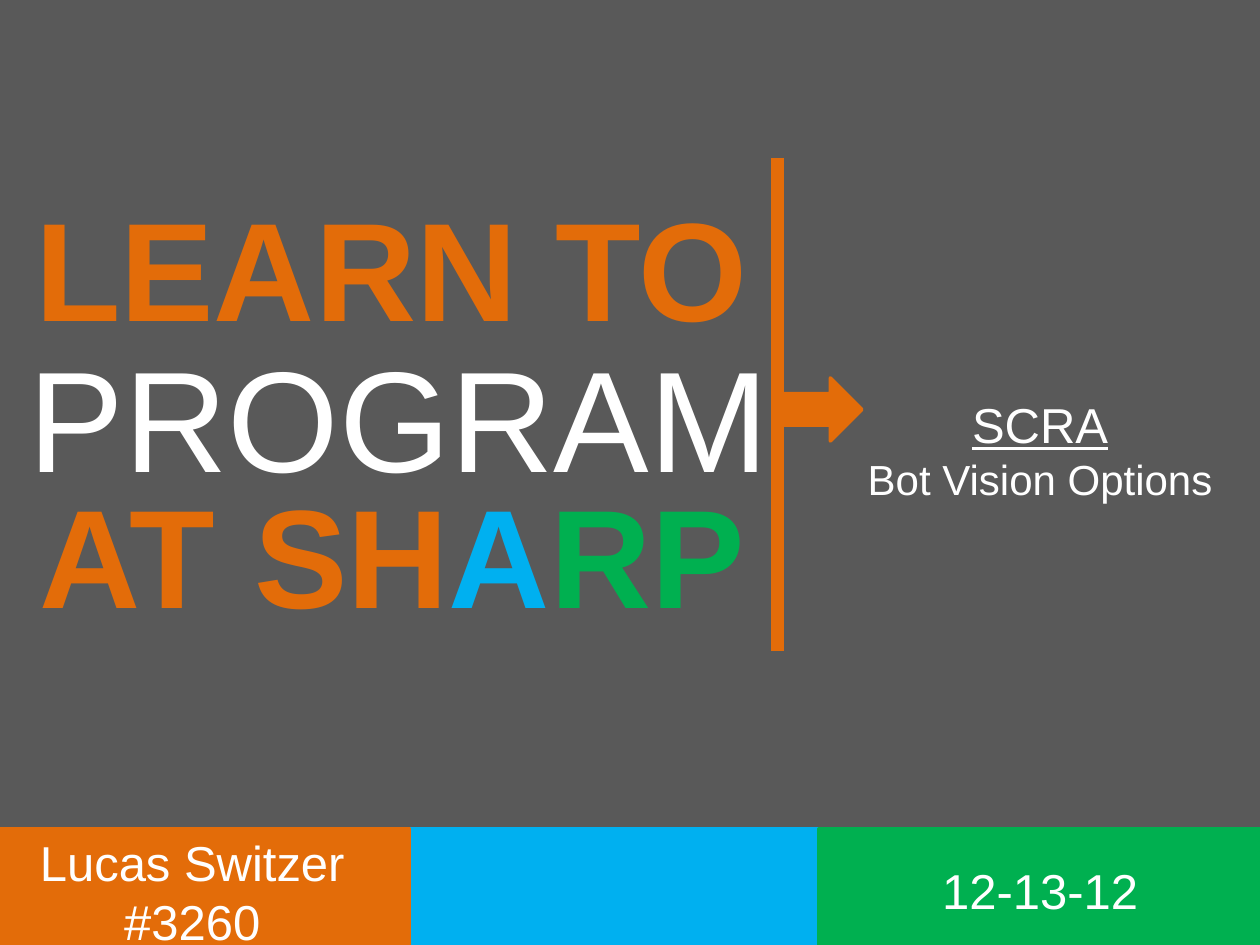
from lxml import etree
from pptx import Presentation
from pptx.dml.color import RGBColor
from pptx.enum.shapes import MSO_CONNECTOR, MSO_SHAPE
from pptx.enum.text import MSO_ANCHOR, MSO_AUTO_SIZE, PP_ALIGN
from pptx.oxml.ns import qn
from pptx.util import Inches, Pt

GRAY = RGBColor(0x59, 0x59, 0x59)
WHITE = RGBColor(0xFF, 0xFF, 0xFF)
ORANGE = RGBColor(0xE3, 0x6C, 0x09)
BLUE = RGBColor(0x00, 0xB0, 0xF0)
GREEN = RGBColor(0x00, 0xB0, 0x50)
RECTANGLE, RIGHT_ARROW = MSO_SHAPE.RECTANGLE, MSO_SHAPE.RIGHT_ARROW
STRAIGHT = MSO_CONNECTOR.STRAIGHT
CENTER = PP_ALIGN.CENTER
TOP, BOTTOM = MSO_ANCHOR.TOP, MSO_ANCHOR.BOTTOM
NO_AUTOFIT = MSO_AUTO_SIZE.NONE


def write(box, paragraphs, bold=False, anchor=TOP):
    """Fill a box with paragraphs, each a list of (text, size, color, underline)."""
    frame = box.text_frame
    frame.word_wrap = True
    frame.auto_size = NO_AUTOFIT
    frame.vertical_anchor = anchor
    for index, spans in enumerate(paragraphs):
        para = frame.add_paragraph() if index else frame.paragraphs[0]
        para.alignment = CENTER
        for text, size, color, underline in spans:
            span = para.add_run()
            span.text = text
            font = span.font
            font.name, font.size, font.bold = "Arial", Pt(size), bold
            font.underline = underline
            font.color.rgb = color


def add_block(kind, left, top, width, height, color):
    block = slide.shapes.add_shape(
        kind, Inches(left), Inches(top), Inches(width), Inches(height))
    block.shadow.inherit = False
    block.fill.solid()
    block.fill.fore_color.rgb = color
    block.line.color.rgb = color
    block.line.width = Pt(2)


deck = Presentation()
deck.slide_width, deck.slide_height = Inches(10), Inches(7.5)
slide = deck.slides.add_slide(deck.slide_layouts.get_by_name("Title Only"))
slide.background.fill.solid()
slide.background.fill.fore_color.rgb = GRAY

title = slide.shapes.title
title.left, title.top = Inches(0.08), Inches(3)
title.width, title.height = Inches(6.17), Inches(1.25)
write(title, [[("PROGRAM", 81.9, WHITE, False)]], anchor=BOTTOM)
title.text_frame.margin_bottom = Inches(0.27)  # lifts the word between its neighbours

# Footer band (orange overlaps blue) and the arrow that leaves the divider
for left, width, color in [(3.25, 3.25, BLUE), (6.5, 3.5, GREEN), (0, 3.25, ORANGE)]:
    add_block(RECTANGLE, left, 6.58, width, 0.92, color)
divider = slide.shapes.add_connector(
    STRAIGHT, Inches(6.17), Inches(1.25), Inches(6.17), Inches(5.17))
divider.line.color.rgb = ORANGE
divider.line.width = Pt(7)
etree.SubElement(divider.element.spPr, qn("a:effectLst"))
add_block(RIGHT_ARROW, 6.17, 3, 0.67, 0.5, ORANGE)

# Left, top, width, height, bold, paragraphs
text_boxes = [
    (0, 1.39, 6.22, 1.45, True, [[("LEARN TO", 80, ORANGE, False)]]),
    (0, 3.67, 6.22, 1.45, True, [[("AT SH", 80, ORANGE, False),
                                  ("A", 80, BLUE, False),
                                  ("RP", 80, GREEN, False)]]),
    (6.67, 3.08, 3.17, 0.97, False, [[("SCRA", 28, WHITE, True)],
                                     [("Bot Vision Options", 24, WHITE, False)]]),
    (-0.06, 6.56, 3.17, 0.97, False, [[("Lucas Switzer #3260", 28, WHITE, False)]]),
    (6.67, 6.78, 3.17, 0.97, False, [[("12-13-12", 28, WHITE, False)]]),
]
for left, top, width, height, bold, paragraphs in text_boxes:
    box = slide.shapes.add_textbox(
        Inches(left), Inches(top), Inches(width), Inches(height))
    write(box, paragraphs, bold=bold)

deck.save("out.pptx")
